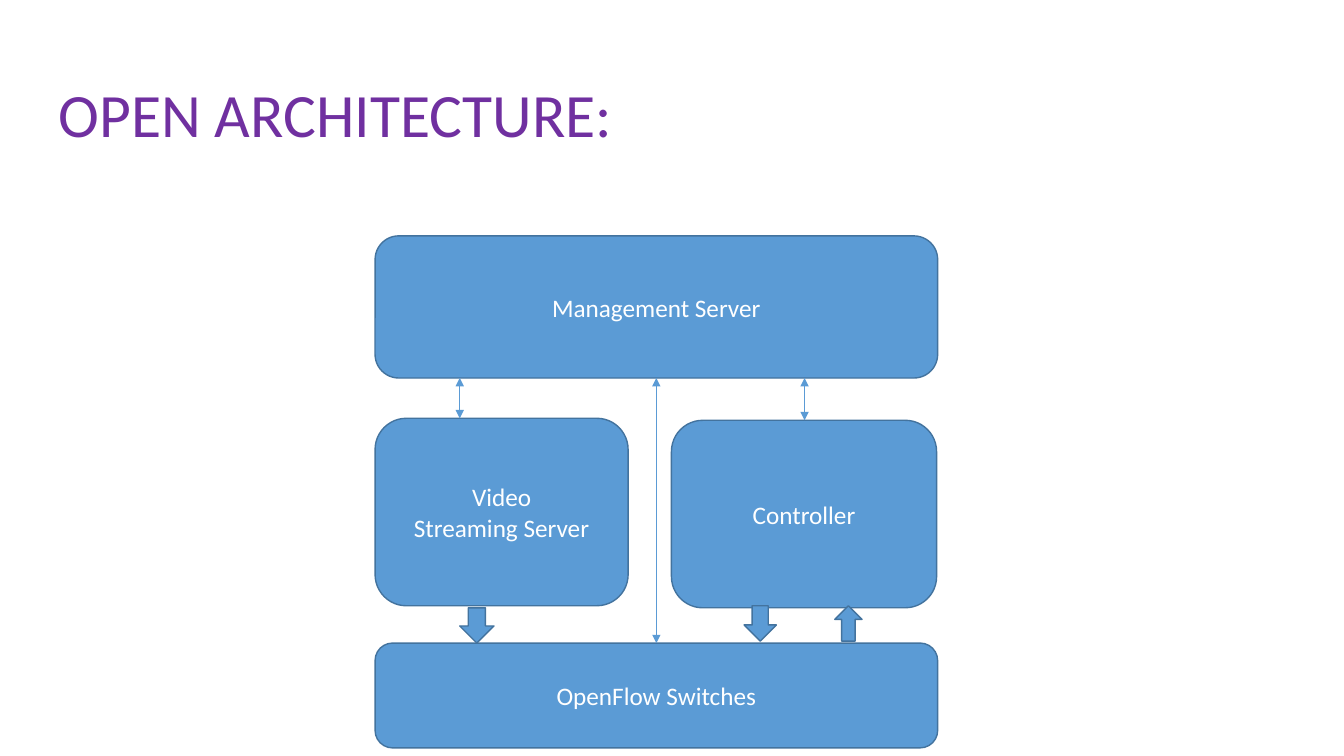
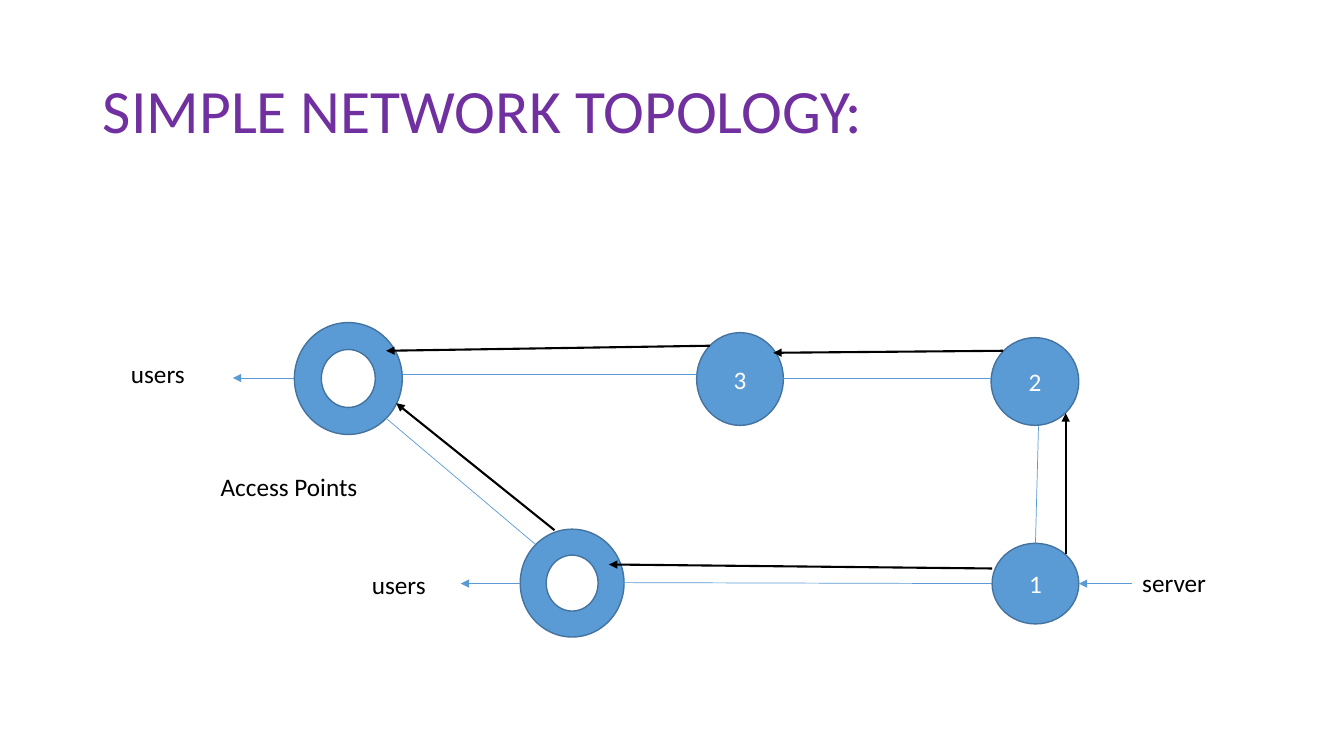
from lxml import etree
from pptx import Presentation
from pptx import util as u
from pptx.dml.color import RGBColor
from pptx.enum import shapes, text
from pptx.oxml.ns import qn

FONT = "Calibri"
HUES = {
    "title": "7030A0",
    "fill": "5B9BD5",
    "edge": "43739E",
    "light": "FFFFFF",
    "dark": "000000",
}
KINDS = shapes.MSO_SHAPE


def hue(name):
    return RGBColor.from_string(HUES[name])


def inches(values):
    return [u.Inches(value) for value in values]


def style(frame, size, color, align):
    for para in frame.paragraphs:
        para.alignment = align
        para.font.name = FONT
        para.font.size = u.Pt(size)
        para.font.color.rgb = hue(color)


def add_slide(deck, words, left, top):
    slide = deck.slides.add_slide(deck.slide_layouts[5])
    title = slide.shapes.title
    title.left, title.top, title.width, title.height = inches((left, top, 11.5, 1.45))
    frame = title.text_frame
    frame.text = words
    frame.auto_size = text.MSO_AUTO_SIZE.NONE
    frame.vertical_anchor = text.MSO_ANCHOR.MIDDLE
    frame.paragraphs[0].line_spacing = 0.9
    style(frame, 44, "title", text.PP_ALIGN.LEFT)
    return slide


def add_node(slide, kind, area, words=""):
    node = slide.shapes.add_shape(kind, *inches(area))
    node.shadow.inherit = False
    node.fill.solid()
    node.fill.fore_color.rgb = hue("fill")
    node.line.color.rgb = hue("edge")
    node.line.width = u.Pt(1)
    if words:
        frame = node.text_frame
        frame.text = words
        frame.vertical_anchor = text.MSO_ANCHOR.MIDDLE
        style(frame, 18, "light", text.PP_ALIGN.CENTER)


def add_link(slide, ends, color="fill", width=0.5, tips=()):
    link = slide.shapes.add_connector(shapes.MSO_CONNECTOR.STRAIGHT, *inches(ends))
    link.line.color.rgb = hue(color)
    link.line.width = u.Pt(width)
    props = link._element.spPr
    line = props.find(qn("a:ln"))
    for tip in tips:
        etree.SubElement(line, qn("a:" + tip)).set("type", "triangle")
    etree.SubElement(props, qn("a:effectLst"))


def add_label(slide, area, words):
    frame = slide.shapes.add_textbox(*inches(area)).text_frame
    frame.word_wrap = True
    frame.text = words
    style(frame, 18, "dark", text.PP_ALIGN.LEFT)


def draw_layers(deck):
    slide = add_slide(deck, "OPEN ARCHITECTURE:", 0.48, 0.44)
    left, width = 3.72, 5.58
    for area, words in (
        ((left, 2.34, width, 1.41), "Management Server"),
        ((left, 4.15, 2.51, 1.86), "Video\nStreaming Server"),
        ((6.66, 4.17, 2.63, 1.86), "Controller"),
        ((left, 6.38, width, 1.04), "OpenFlow Switches"),
    ):
        add_node(slide, KINDS.ROUNDED_RECTANGLE, area, words)
    for x, end in ((4.56, 4.15), (7.98, 4.17), (6.51, 6.38)):
        add_link(slide, (x, 3.75, x, end), tips=("headEnd", "tailEnd"))
    for kind, x, y, wide in (
        (KINDS.DOWN_ARROW, 4.56, 6.03, 0.34),
        (KINDS.DOWN_ARROW, 7.38, 6.01, 0.32),
        (KINDS.UP_ARROW, 8.28, 6.01, 0.27),
    ):
        add_node(slide, kind, (x, y, wide, 0.35))


def draw_network(deck):
    slide = add_slide(deck, "SIMPLE NETWORK TOPOLOGY:", 0.92, 0.4)
    for area in ((2.92, 3.2, 1.07, 1.11), (5.16, 5.25, 1.03, 1.07)):
        add_node(slide, KINDS.DONUT, area)
    for words, area in (
        ("3", (6.91, 3.3, 0.86, 0.92)),
        ("2", (9.83, 3.35, 0.87, 0.87)),
        ("1", (9.84, 5.39, 0.86, 0.8)),
    ):
        add_node(slide, KINDS.OVAL, area, words)
    for ends in (
        (3.99, 3.71, 6.91, 3.71),
        (7.77, 3.75, 9.83, 3.75),
        (10.3, 4.23, 10.27, 5.39),
        (6.18, 5.78, 9.84, 5.79),
        (3.83, 4.15, 5.31, 5.4),
    ):
        add_link(slide, ends)
    for route in (
        (5.5, 5.26, 3.93, 4),
        (9.84, 5.64, 6.04, 5.6),
        (9.95, 3.48, 7.67, 3.5),
        (10.57, 5.5, 10.57, 4.1),
        (7.04, 3.43, 3.83, 3.48),
    ):
        add_link(slide, route, "dark", 1.5, ("tailEnd",))
    for start, end, y in ((2.92, 2.31, 3.75), (11.23, 10.7, 5.79), (5.16, 4.57, 5.79)):
        add_link(slide, (start, y, end, y), tips=("tailEnd",))
    for words, x, y, wide in (
        ("Access Points", 2.09, 4.63, 2.19),
        ("users", 1.2, 3.51, 1.02),
        ("server", 11.23, 5.58, 1.18),
        ("users", 3.59, 5.6, 0.84),
    ):
        add_label(slide, (x, y, wide, 0.4), words)


def main():
    deck = Presentation()
    deck.slide_width, deck.slide_height = inches((13.33, 7.5))
    draw_layers(deck)
    draw_network(deck)
    deck.save("out.pptx")


main()
